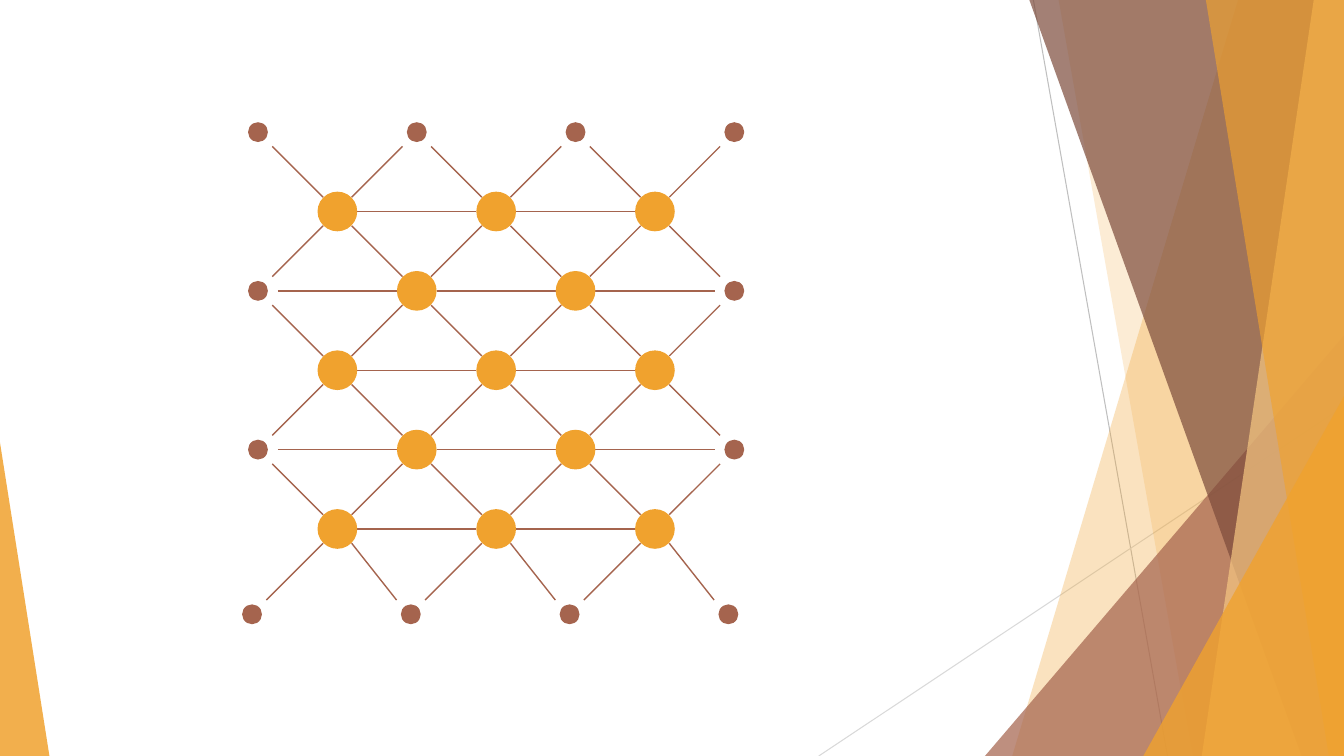
"""Build a slide with a lattice of linked dots beside a faceted border."""
from lxml import etree
from pptx import Presentation
from pptx import util as u
from pptx.dml.color import RGBColor
from pptx.enum import shapes
from pptx.oxml import ns

AMBER = RGBColor(0xF0, 0xA2, 0x2E)
PALE_AMBER = RGBColor(0xF6, 0xC7, 0x82)
RUST = RGBColor(0xA5, 0x64, 0x4E)
BROWN = RGBColor(0x7C, 0x4B, 0x3B)
GREY = RGBColor(0xBF, 0xBF, 0xBF)
LIGHT_GREY = RGBColor(0xD9, 0xD9, 0xD9)

deck = Presentation()
deck.slide_width, deck.slide_height = u.Inches(13.33), u.Inches(7.5)
across, down = deck.slide_width / 100, deck.slide_height / 100
page = deck.slides.add_slide(deck.slide_layouts[6])


def paint(shape, color, opacity=100):
    shape.shadow.inherit = False
    shape.fill.solid()
    shape.fill.fore_color.rgb = color
    shape.line.fill.background()
    if opacity < 100:
        tint = shape._element.spPr.find(f"{ns.qn('a:solidFill')}/{ns.qn('a:srgbClr')}")
        etree.SubElement(tint, ns.qn("a:alpha"), val=str(opacity * 1000))


def draw_line(start, end, color, weight):
    points = [round(value) for value in (*start, *end)]
    line = page.shapes.add_connector(shapes.MSO_CONNECTOR.STRAIGHT, *points)
    line.line.color.rgb = color
    line.line.width = u.Pt(weight)
    etree.SubElement(line._element.spPr, ns.qn("a:effectLst"))


draw_line((76.89 * across, 0), (86.87 * across, 100 * down), GREY, 0.75)
draw_line((100 * across, 53.73 * down), (60.92 * across, 100 * down), LIGHT_GREY, 0.75)

FACETS = [
    ("band", 92.12, 75.32, AMBER, 30),
    ("band", 78.77, 88.75, AMBER, 20),
    ("right wedge", 26.71, 55.6, RUST, 72),
    ("band", 76.59, 96.85, BROWN, 70),
    ("band", 97.75, 89.42, PALE_AMBER, 70),
    ("band", 89.72, 98.87, AMBER, 65),
    ("right wedge", 14.93, 47.6, AMBER, 80),
    ("left wedge", 3.68, 41.47, AMBER, 85),
]
for kind, first, second, color, opacity in FACETS:
    if kind == "band":
        corners = [(100, 0), (100, 100), (second, 100)]
        outline = page.shapes.build_freeform(round(first * across), 0)
        outline.add_line_segments([(round(x * across), round(y * down)) for x, y in corners])
        facet = outline.convert_to_shape()
    else:
        on_right = kind == "right wedge"
        left = 100 - first if on_right else 0
        facet = page.shapes.add_shape(
            shapes.MSO_SHAPE.ISOSCELES_TRIANGLE, round(left * across),
            round((100 - second) * down), round(first * across), round(second * down))
        facet.adjustments[0] = 1 if on_right else 0
    paint(facet, color, opacity)

STEP = u.Cm(2)
LEFT, TOP = u.Cm(6.5), u.Cm(3.33)
LAST = 6
BOTTOM_SHIFT = u.Cm(0.15)
HUB, TIP = u.Cm(1), u.Cm(0.5)
GAP, DIAGONAL_GAP = u.Cm(0.5), u.Cm(0.36)

centres = {}
for row in range(LAST + 1):
    shift = BOTTOM_SHIFT if row == LAST else 0
    for column in range(row % 2, LAST + 1, 2):
        centres[row, column] = (LEFT + column * STEP - shift, TOP + row * STEP + shift)

LINKS = [(0, 2, GAP, 0), (1, 1, DIAGONAL_GAP, DIAGONAL_GAP),
         (1, -1, -DIAGONAL_GAP, DIAGONAL_GAP)]
for (row, column), (x, y) in centres.items():
    for rows, columns, gap_x, gap_y in LINKS:
        target = centres.get((row + rows, column + columns))
        outer_row = rows == 0 and row in (0, LAST)
        if target and not outer_row:
            draw_line((x + gap_x, y + gap_y), (target[0] - gap_x, target[1] - gap_y), RUST, 1)

for (row, column), (x, y) in centres.items():
    inside = 0 < row < LAST and 0 < column < LAST
    size = HUB if inside else TIP
    dot = page.shapes.add_shape(
        shapes.MSO_SHAPE.OVAL, round(x - size / 2), round(y - size / 2), size, size)
    paint(dot, AMBER if inside else RUST)

deck.save("out.pptx")
